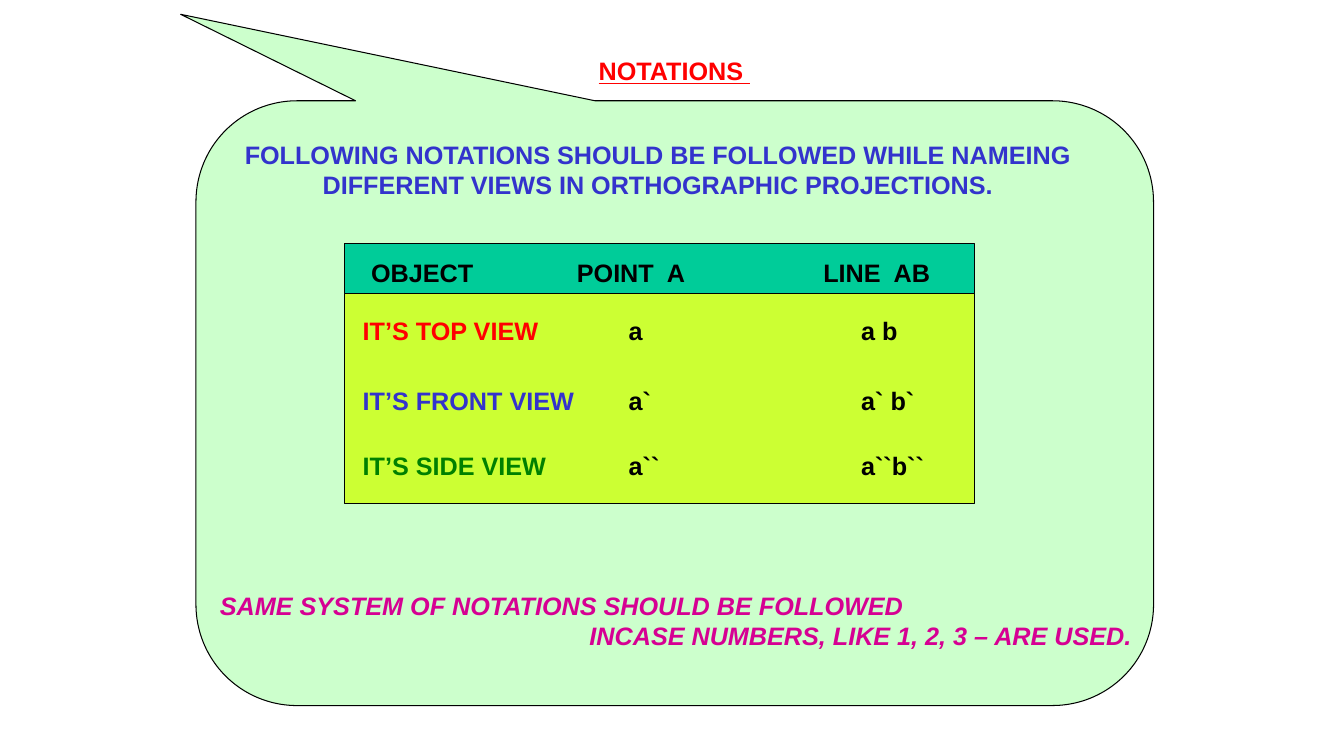
import pptx
import pptx.util
import pptx.dml.color
import pptx.enum.shapes
import pptx.enum.text
import pptx.oxml
import pptx.oxml.ns

Pt = pptx.util.Pt
RGB = pptx.dml.color.RGBColor
Shape = pptx.enum.shapes.MSO_SHAPE
Align = pptx.enum.text.PP_ALIGN

BLACK = RGB(0, 0, 0)
RED = RGB(0xFF, 0, 0)
BLUE = RGB(0x33, 0x33, 0xCC)
GREEN = RGB(0, 0x80, 0)
PINK = RGB(0xD6, 0, 0x93)
MINT = RGB(0xCC, 0xFF, 0xCC)
LIME = RGB(0xCC, 0xFF, 0x33)
TEAL = RGB(0, 0xCC, 0x99)

# Content
TITLE = "NOTATIONS "
INTRO = ["FOLLOWING NOTATIONS SHOULD BE FOLLOWED WHILE NAMEING",
         "DIFFERENT VIEWS IN ORTHOGRAPHIC PROJECTIONS."]
HEAD = ["OBJECT", "POINT  A", "LINE  AB"]
VIEWS = [  # name, point, line, colour of name, top
    ("IT’S TOP VIEW", "a", "a b", RED, 222),
    ("IT’S FRONT VIEW", "a`", "a` b`", BLUE, 271.5),
    ("IT’S SIDE VIEW", "a``", "a``b``", GREEN, 318),
]
CLOSING = ["SAME SYSTEM OF NOTATIONS SHOULD BE FOLLOWED",
           "\tINCASE NUMBERS, LIKE 1, 2, 3 – ARE USED."]

# Layout: left, top, width, height
CALLOUT = (140, 72, 684, 432)
GRID = (246, 174, 450, 36)
BODY = (246, 210, 450, 150)
ROW_LEFT, ROW_WIDTH, ROW_HIGH = 252, 444, 29
HEAD_TABS = (147, 323)
VIEW_TABS = (190, 356)
CLOSE_TABS = (264,)
FONT = {"name": "Arial", "size": Pt(18), "bold": True}

deck = pptx.Presentation()
deck.slide_width, deck.slide_height = Pt(960), Pt(540)
slide = deck.slides.add_slide(deck.slide_layouts[6])


def add_panel(kind, box, color):
    panel = slide.shapes.add_shape(kind, *map(Pt, box))
    panel.shadow.inherit = False
    panel.fill.solid()
    panel.fill.fore_color.rgb = color
    panel.line.color.rgb = BLACK
    panel.line.width = Pt(0.75)
    return panel


def set_tabs(para, stops):
    props = para._p.get_or_add_pPr()
    tabs = pptx.oxml.parse_xml(
        "<a:tabLst %s/>" % pptx.oxml.ns.nsdecls("a"))
    for stop in stops:
        tab = tabs.makeelement(pptx.oxml.ns.qn("a:tab"),
                               {"pos": str(Pt(stop)), "algn": "l"})
        tabs.append(tab)
    props.append(tabs)


def add_text(box, lines, align=Align.LEFT, tabs=(), **style):
    """Each line is a list of (words, colour) runs."""
    frame = slide.shapes.add_textbox(*map(Pt, box)).text_frame
    frame.word_wrap = True
    for num, line in enumerate(lines):
        para = frame.add_paragraph() if num else frame.paragraphs[0]
        para.alignment = align
        if tabs:
            set_tabs(para, tabs)
        for words, color in line:
            run = para.add_run()
            run.text = words
            for key, value in {**FONT, **style}.items():
                setattr(run.font, key, value)
            run.font.color.rgb = color


# Callout and table panels
bubble = add_panel(Shape.ROUNDED_RECTANGULAR_CALLOUT, CALLOUT, MINT)
for spot, value in enumerate((-0.516, -0.643, 0.167)):
    bubble.adjustments[spot] = value
add_panel(Shape.RECTANGLE, BODY, LIME)
add_panel(Shape.RECTANGLE, GRID, TEAL)

# Title and opening
add_text((420.5, 36, 125.5, 50), [[(TITLE, RED)]], underline=True)
add_text((166, 96, 608, 50), [[(line, BLUE)] for line in INTRO], Align.CENTER)

# Header and views, with columns at tab stops
add_text((258, 180, 418, ROW_HIGH), [[("\t".join(HEAD), BLACK)]],
         tabs=HEAD_TABS)
for name, point, line, color, top in VIEWS:
    add_text((ROW_LEFT, top, ROW_WIDTH, ROW_HIGH),
             [[(name, color), (f"\t{point}\t{line}", BLACK)]], tabs=VIEW_TABS)

# Closing remark
add_text((150, 418, 678, 50), [[(line, PINK)] for line in CLOSING],
         tabs=CLOSE_TABS, italic=True)

deck.save("out.pptx")
